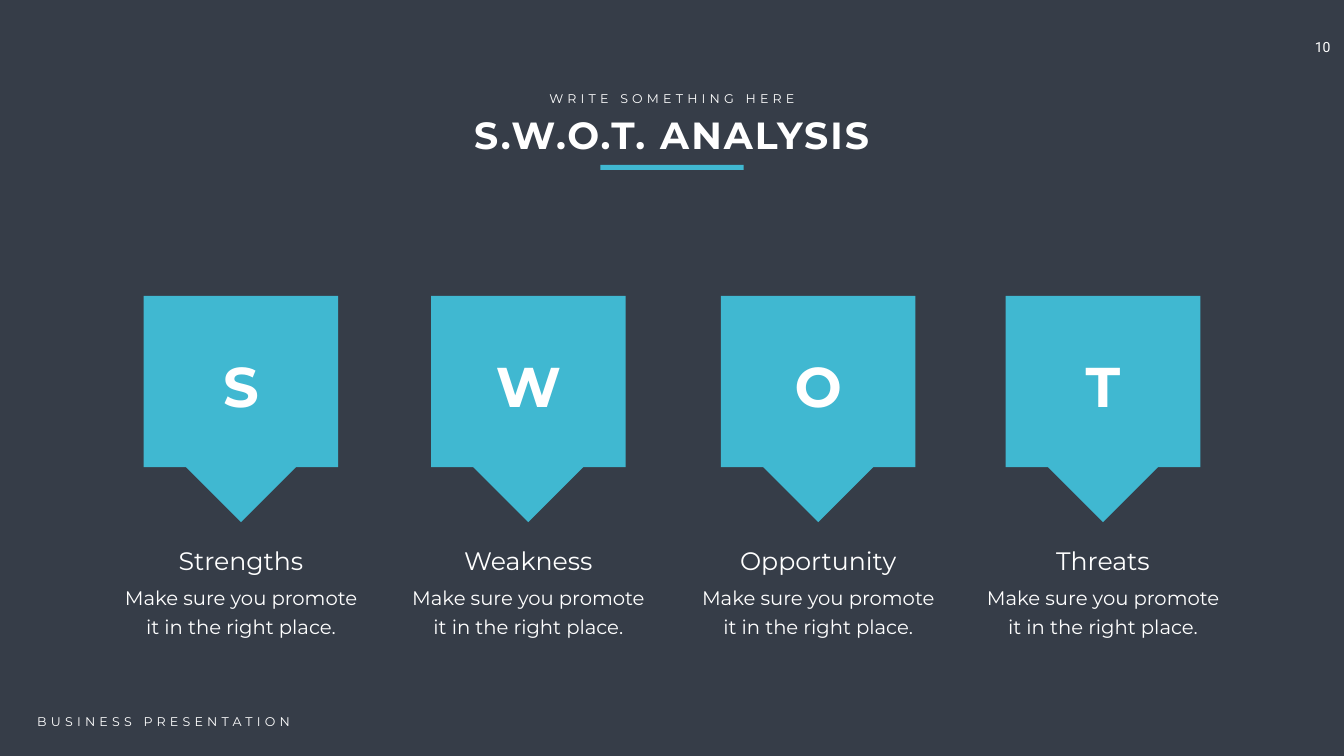
from pptx import Presentation
from pptx.dml.color import RGBColor
from pptx.enum.shapes import MSO_SHAPE
from pptx.enum.text import PP_ALIGN
from pptx.util import Inches, Pt

RECTANGLE = MSO_SHAPE.RECTANGLE
LEFT, CENTER = PP_ALIGN.LEFT, PP_ALIGN.CENTER

# Content
PAGE_NUMBER = "10"
KICKER = "WRITE SOMETHING HERE"
TITLE = "S.W.O.T. ANALYSIS"
FOOTER = "BUSINESS PRESENTATION"
DESCRIPTION = "Make sure you promote it in the right place."
# Letter, heading, centre of the column
COLUMNS = [
    ("S", "Strengths", 4.78),
    ("W", "Weakness", 10.48),
    ("O", "Opportunity", 16.23),
    ("T", "Threats", 21.88),
]

# Style and layout, in inches
BACKGROUND, ACCENT, WHITE = "363D48", "40B8D1", "FFFFFF"
FONT, NUMBER_FONT = "Montserrat", "Roboto"
SLIDE_WIDTH, SLIDE_HEIGHT = 26.66, 15
CARD_TOP, CARD_WIDTH, CARD_HEIGHT = 5.87, 3.86, 3.4
POINTER_TOP, POINTER_WIDTH, POINTER_HEIGHT = 9.12, 2.48, 1.24
LETTER_WIDTH, CAPTION_WIDTH = 2.22, 4.81


def paint(fill, color):
    fill.solid()
    fill.fore_color.rgb = RGBColor.from_string(color)


def style_shape(shape):
    shape.shadow.inherit = False
    paint(shape.fill, ACCENT)
    shape.line.fill.background()


def add_rectangle(left, top, width, height):
    style_shape(slide.shapes.add_shape(
        RECTANGLE, Inches(left), Inches(top), Inches(width), Inches(height)))


def add_pointer(center):
    half = POINTER_WIDTH / 2
    builder = slide.shapes.build_freeform(
        Inches(center - half), Inches(POINTER_TOP))
    builder.add_line_segments([
        (Inches(center + half), Inches(POINTER_TOP)),
        (Inches(center), Inches(POINTER_TOP + POINTER_HEIGHT)),
    ])
    style_shape(builder.convert_to_shape())


def add_text(text, left, top, width, height, size, bold=False, spacing=0,
             align=CENTER, font=FONT, line_spacing=None):
    box = slide.shapes.add_textbox(
        Inches(left), Inches(top), Inches(width), Inches(height))
    frame = box.text_frame
    frame.word_wrap = True
    frame.text = text
    paragraph = frame.paragraphs[0]
    paragraph.alignment = align
    if line_spacing:
        paragraph.line_spacing = Pt(line_spacing)
    run = paragraph.runs[0]
    run.font.name = font
    run.font.size = Pt(size)
    run.font.bold = bold
    run.font.color.rgb = RGBColor.from_string(WHITE)
    if spacing:
        run.font._element.set("spc", str(spacing * 100))
    return frame


presentation = Presentation()
presentation.slide_width = Inches(SLIDE_WIDTH)
presentation.slide_height = Inches(SLIDE_HEIGHT)
slide = presentation.slides.add_slide(presentation.slide_layouts[6])
paint(slide.background.fill, BACKGROUND)

# Page number
number_frame = add_text(PAGE_NUMBER, 25.88, 0.67, 0.91, 0.54, 20,
                        align=LEFT, font=NUMBER_FONT)
number_frame.margin_left = number_frame.margin_right = Inches(0.2)
number_frame.margin_top = number_frame.margin_bottom = Inches(0.1)

# Title block
add_text(TITLE, 7.29, 2.16, 12.07, 1.01, 54, bold=True, spacing=3)
add_text(KICKER, 10.74, 1.76, 5.18, 0.4, 18, spacing=6)
add_rectangle(11.91, 3.27, 2.84, 0.1)

# Columns: card with pointer, letter, heading and description
for letter, heading, center in COLUMNS:
    caption_left = center - CAPTION_WIDTH / 2
    add_rectangle(center - CARD_WIDTH / 2, CARD_TOP, CARD_WIDTH, CARD_HEIGHT)
    add_pointer(center)
    add_text(letter, center - LETTER_WIDTH / 2, 6.92, LETTER_WIDTH, 1.45, 80,
             bold=True, spacing=3)
    add_text(heading, caption_left, 10.77, CAPTION_WIDTH, 0.71, 36)
    add_text(DESCRIPTION, caption_left, 11.48, CAPTION_WIDTH, 1.2, 28,
             line_spacing=40.8)

# Footer
add_text(FOOTER, 0.64, 14.12, 6.05, 0.4, 18, spacing=6, align=LEFT)

presentation.save("out.pptx")
